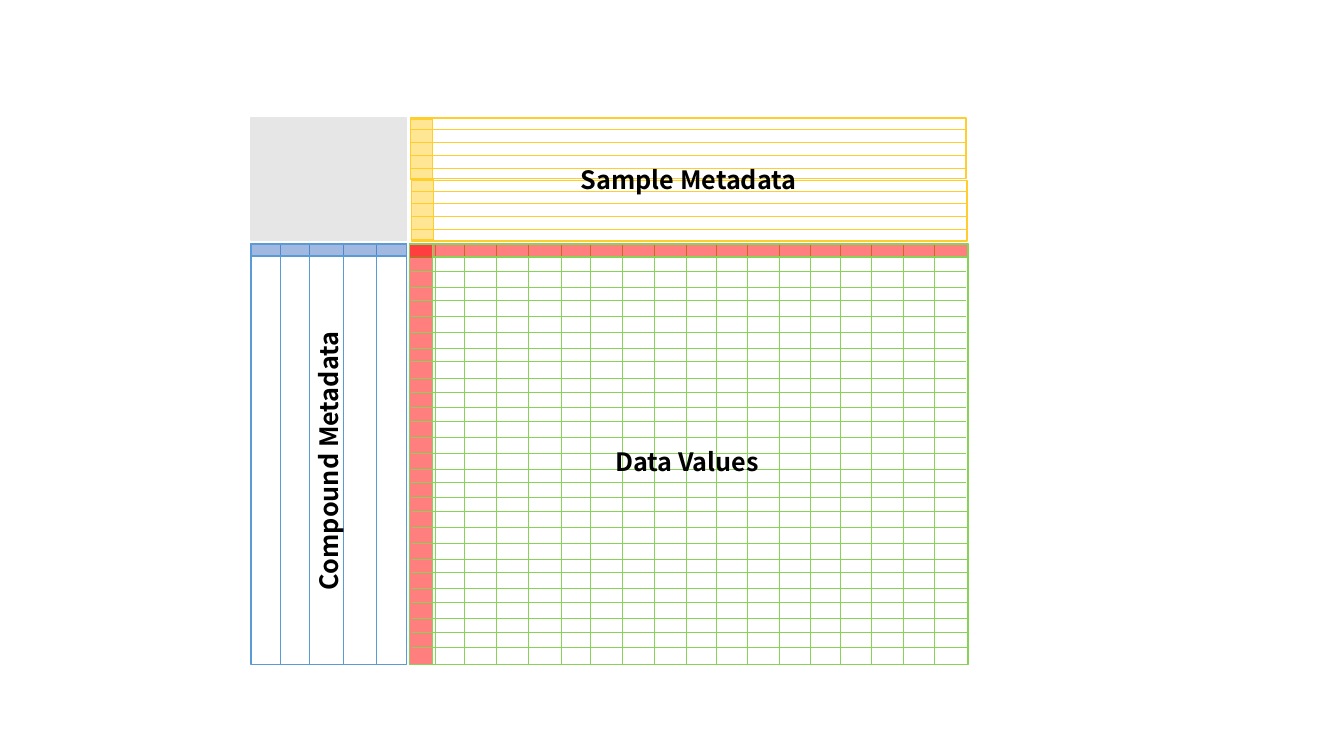
from lxml import etree
from pptx import Presentation
from pptx import util as u
from pptx.dml.color import RGBColor
from pptx.enum import shapes, text
from pptx.oxml.ns import qn

PX = 9144
BLUE = RGBColor(0x5B, 0x9B, 0xD5)
DARK_BLUE = RGBColor(0x44, 0x72, 0xC4)
GREEN = RGBColor(0x87, 0xD3, 0x58)
RED = RGBColor(0xFF, 0x00, 0x00)
YELLOW = RGBColor(0xFF, 0xCE, 0x2C)
GREY = RGBColor(0xE7, 0xE6, 0xE6)
BLACK = RGBColor(0x00, 0x00, 0x00)


def add_rect(parent, area, line, fill=None, opacity=100):
    box = parent.add_shape(shapes.MSO_SHAPE.RECTANGLE, *[n * PX for n in area])
    box.shadow.inherit = False
    box.line.color.rgb = line
    box.line.width = u.Pt(1)
    if fill is None:
        box.fill.background()
        return
    box.fill.solid()
    box.fill.fore_color.rgb = fill
    if opacity < 100:
        color = box._element.spPr.find(qn("a:solidFill"))[0]
        etree.SubElement(color, qn("a:alpha")).set("val", str(opacity * 1000))


def add_rule(parent, x1, y1, x2, y2, color):
    ends = [n * PX for n in (x1, y1, x2, y2)]
    rule = parent.add_connector(shapes.MSO_CONNECTOR.STRAIGHT, *ends)
    rule.line.color.rgb = color
    rule.line.width = u.Pt(0.5)
    etree.SubElement(rule._element.spPr, qn("a:effectLst"))


deck = Presentation()
deck.slide_width = 1333 * PX
deck.slide_height = 750 * PX
page = deck.slides.add_slide(deck.slide_layouts[6])
canvas = page.shapes

top, bottom = 242, 660

add_rect(canvas, (249, top, 154, 417), BLUE)
for x in (278, 307, 341, 373):
    add_rule(canvas, x, top, x, bottom, BLUE)
add_rect(canvas, (249, top, 154, 12), BLUE, DARK_BLUE, 50)

add_rect(canvas, (406, top, 554, 417), GREEN)
for x in (432, 461, 492, 524, 557, 586, 617, 649, 681, 710, 741, 773,
          804, 833, 864, 896, 927):
    add_rule(canvas, x, top, x, bottom, GREEN)
add_rect(canvas, (406, top, 554, 13), GREEN, RED, 50)
add_rect(canvas, (406, top, 23, 417), GREEN, RED, 50)

upper_rows = (269, 285, 298, 314, 330, 346, 359, 375, 389, 404, 418, 434,
              450, 466, 479, 493)
lower_rows = (507, 523, 539, 555, 568, 584, 598, 613, 627, 642, 659)
for rows, left, right in ((upper_rows, 408, 958), (lower_rows, 409, 960)):
    for y in rows:
        add_rule(canvas, right, y, left, y, GREEN)

for left, band_top, key_top, rows in (
        (408, 179, 178, (190, 202, 215, 228)),
        (407, 117, 118, (128, 141, 154, 167))):
    band = canvas.add_group_shape().shapes
    add_rect(band, (left, band_top, 551, 60), YELLOW)
    add_rule(band, 825, band_top, left, band_top, YELLOW)
    for y in rows:
        add_rule(band, 959, y, left, y, YELLOW)
    add_rect(band, (left, key_top, 22, 60), YELLOW, YELLOW, 50)

add_rect(canvas, (249, 117, 154, 121), GREY, GREY)

for label, area, direction in (
        ("Sample Metadata", (409, 117, 548, 121), "horz"),
        ("Compound Metadata", (249, 255, 154, 405), "vert270"),
        ("Data Values", (405, 258, 553, 400), "horz")):
    box = canvas.add_textbox(*[n * PX for n in area])
    frame = box.text_frame
    frame.word_wrap = True
    frame.vertical_anchor = text.MSO_ANCHOR.MIDDLE
    frame._txBody.bodyPr.set("vert", direction)
    para = frame.paragraphs[0]
    para.alignment = text.PP_ALIGN.CENTER
    span = para.add_run()
    span.text = label
    span.font.name = "Noto Sans CJK SC"
    span.font.size = u.Pt(18)
    span.font.bold = True
    span.font.color.rgb = BLACK

deck.save("out.pptx")
